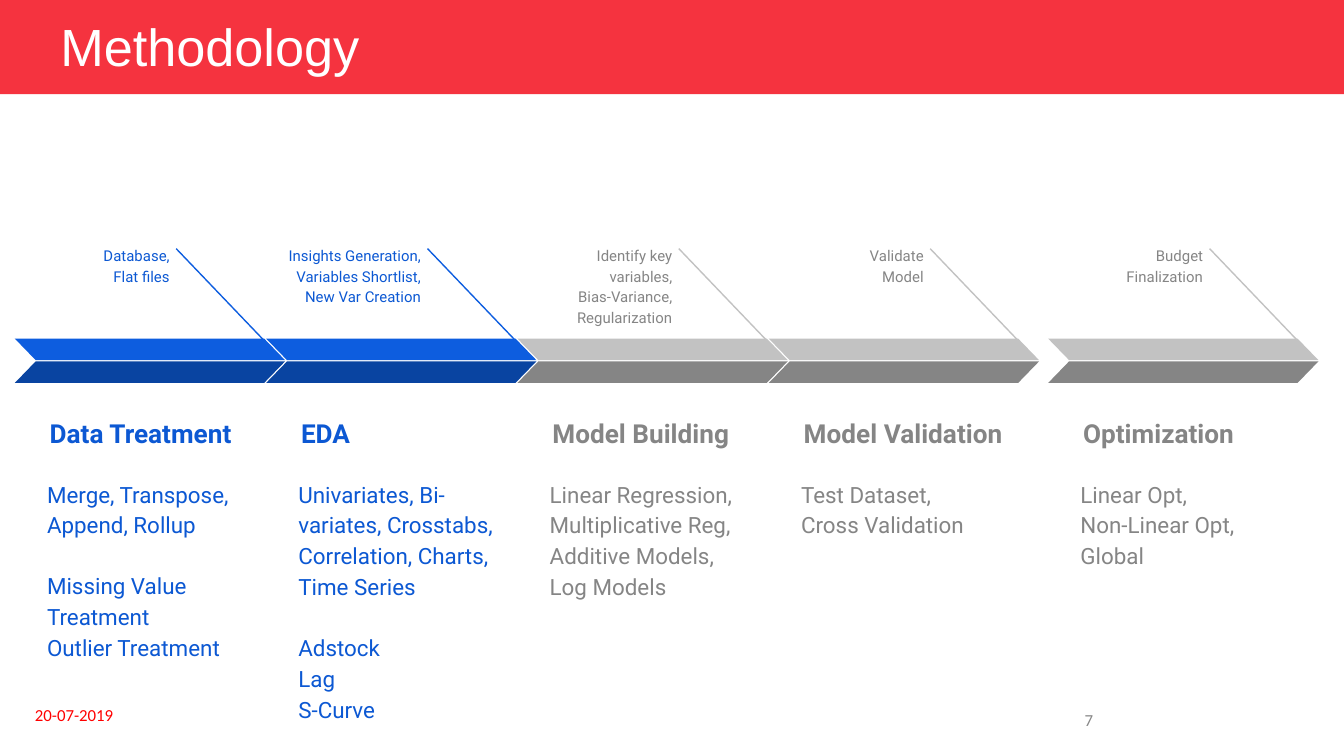
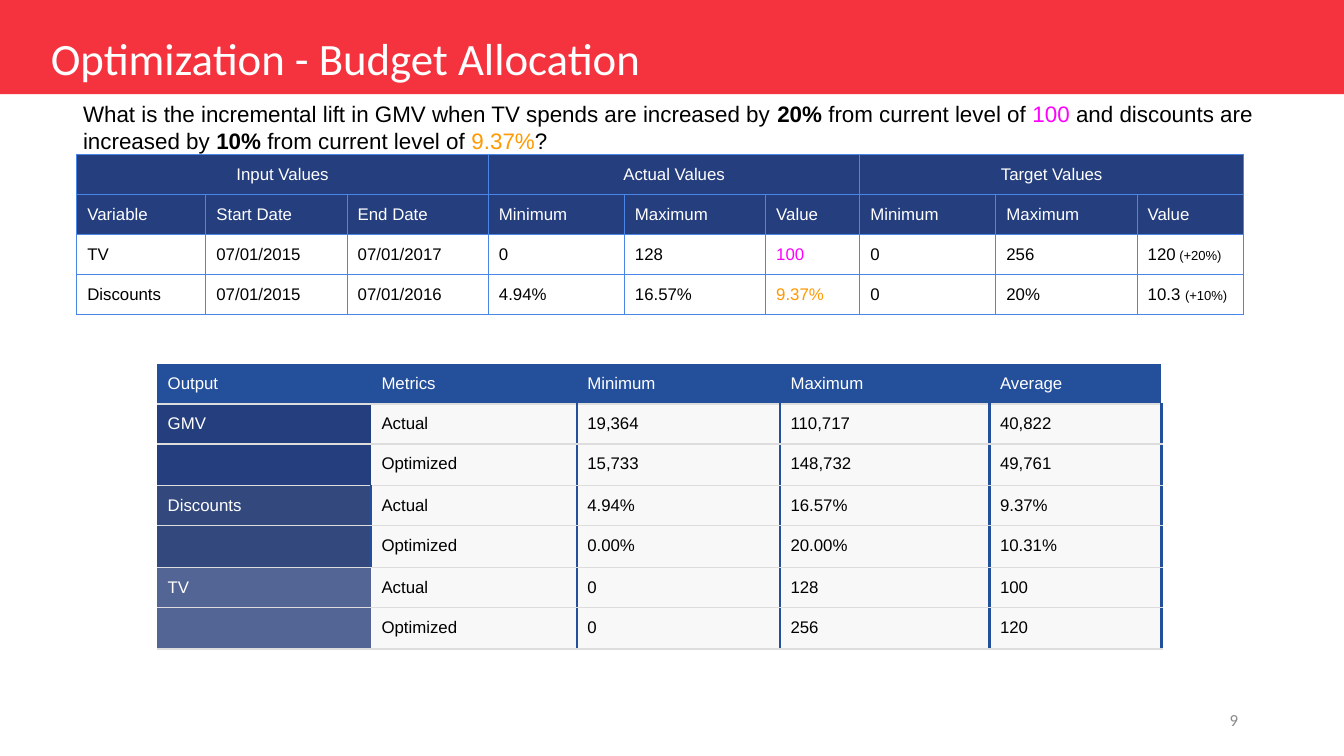
"""Build the methodology and budget allocation slides."""
from copy import deepcopy

from lxml.etree import SubElement
from pptx import Presentation
from pptx.dml.color import RGBColor
from pptx.enum.shapes import MSO_CONNECTOR as CONN, MSO_SHAPE as SHAPE
from pptx.enum.text import MSO_ANCHOR as ANCHOR, MSO_AUTO_SIZE as AUTO, PP_ALIGN as ALIGN
from pptx.oxml.ns import qn
from pptx.util import Cm, Pt

COLORS = {
    "band": "F5333F", "white": "FFFFFF", "black": "000000", "date": "FF0000",
    "number": "888888", "blue_text": "0C58D3", "blue": "0D5DDF", "blue_dark": "0944A1",
    "gray": "C2C2C2", "gray_dark": "858585", "tv": "FF00FF", "discount": "FF9900",
    "navy": "253E7D", "grid": "4A86E8", "header": "234F9B", "rule": "DDDDDD",
    "discount_row": "33487D", "tv_row": "536594", "cell": "F8F8F8",
}
NO_STYLE = "{2D5ABB26-0587-4C30-8999-92F81FD0307C}"


def rgb(name):
    return RGBColor.from_string(COLORS[name])


def apply(obj, values):
    for key, value in values.items():
        if key == "color":
            obj.color.rgb = rgb(value)
        else:
            setattr(obj, key, value)


def font(name, size, color, **more):
    return {"name": name, "size": Pt(size), "color": color, **more}


def margins(x, y):
    return {"margin_left": Cm(x), "margin_right": Cm(x),
            "margin_top": Cm(y), "margin_bottom": Cm(y)}


class Deck:
    def __init__(self, width, height):
        self.prs = Presentation()
        apply(self.prs, {"slide_width": Cm(width), "slide_height": Cm(height)})
        self.slide = self.shapes = None

    def new_slide(self):
        self.slide = self.prs.slides.add_slide(self.prs.slide_layouts[5])
        self.shapes = self.slide.shapes

    def group(self):
        self.shapes = self.slide.shapes.add_group_shape().shapes

    def ungroup(self):
        self.shapes = self.slide.shapes

    def shape(self, kind, at, fill):
        sp = self.shapes.add_shape(kind, *map(Cm, at))
        sp.shadow.inherit = False
        sp.fill.solid()
        sp.fill.fore_color.rgb = rgb(fill)
        sp.line.fill.background()
        return sp

    def master_band(self, height):
        sp = self.shape(SHAPE.RECTANGLE, (0, 0, self.prs.slide_width.cm, height), "band")
        sp.element.nvSpPr.cNvPr.id = 20
        self.prs.slide_master.shapes.element.insert(2, sp.element)

    def chevron_half(self, at, fill, flip=False):
        sp = self.shape(SHAPE.PARALLELOGRAM, at, fill)
        sp.adjustments[0] = 0.97
        if flip:
            sp.element.spPr.find(qn("a:xfrm")).set("flipH", "1")

    def line(self, start, end, color):
        cx = self.shapes.add_connector(CONN.STRAIGHT, *map(Cm, start + end))
        cx.line.color.rgb = rgb(color)
        cx.line.width = Pt(0.75)
        SubElement(cx.element.spPr, qn("a:effectLst"))

    def paragraph(self, p, runs, fmt, **layout):
        apply(p, layout)
        for run in [runs] if isinstance(runs, str) else runs:
            text, change = (run, {}) if isinstance(run, str) else run
            for i, part in enumerate(text.split("\n")):
                if i:
                    p.add_line_break()
                r = p.add_run()
                r.text = part
                apply(r.font, {**fmt, **change})
                if i:
                    r._r.getprevious().insert(0, deepcopy(r._r.rPr))

    def frame(self, tf, runs, fmt, pad=(0.25, 0.25), anchor=ANCHOR.TOP, **layout):
        apply(tf, {"word_wrap": True, "auto_size": AUTO.NONE,
                   "vertical_anchor": anchor, **margins(*pad)})
        self.paragraph(tf.paragraphs[0], runs, fmt, **layout)

    def text(self, at, runs, fmt, **options):
        tf = self.shapes.add_textbox(*map(Cm, at)).text_frame
        self.frame(tf, runs, fmt, **options)
        return tf

    def title(self, at, text, fmt, **layout):
        sp = self.slide.shapes.title
        apply(sp, dict(zip(("left", "top", "width", "height"), map(Cm, at))))
        self.frame(sp.text_frame, text, fmt, pad=(0.25, 0.13), anchor=ANCHOR.MIDDLE,
                   alignment=ALIGN.LEFT, **layout)

    def footer(self, left, top, text, color, align):
        self.text((left, top, 5.72, 0.76), text, font("Calibri", 9, color),
                  pad=(0.25, 0.13), anchor=ANCHOR.MIDDLE, alignment=align)

    def borders(self, cell, sides):
        tcPr = cell._tc.get_or_add_tcPr()
        for side in "LRTB":
            if side in sides:
                color, width = sides[side]
                ln = SubElement(tcPr, qn(f"a:ln{side}"), w=str(Pt(width)))
                fill = SubElement(ln, qn("a:solidFill"))
                SubElement(fill, qn("a:srgbClr"), val=COLORS[color])

    def table(self, left, top, widths, row_height, rows, look):
        size = (sum(widths), row_height * len(rows))
        frame = self.shapes.add_table(len(rows), len(widths), *map(Cm, (left, top) + size))
        tbl = frame.table
        apply(tbl, {"first_row": False, "horz_banding": False})
        tbl._tbl.tblPr.find(qn("a:tableStyleId")).text = NO_STYLE
        for col, width in zip(tbl.columns, widths):
            col.width = Cm(width)
        for i, row in enumerate(rows):
            tbl.rows[i].height = Cm(row_height)
            for j, runs in enumerate(row):
                cell = tbl.cell(i, j)
                style = look(i, j)
                apply(cell, {**margins(0.2, 0.2), "vertical_anchor": style["anchor"]})
                self.borders(cell, style["sides"])
                if style["fill"]:
                    cell.fill.solid()
                    cell.fill.fore_color.rgb = rgb(style["fill"])
                else:
                    cell.fill.background()
                p = cell.text_frame.paragraphs[0]
                if runs:
                    self.paragraph(p, runs, font("Arial", 9, style["color"]),
                                   alignment=style.get("align", ALIGN.LEFT))
                else:
                    SubElement(p._p, qn("a:endParaRPr"), sz="900")
        return tbl

    def stage(self, left, label, label_width, heading, heading_width, body, active):
        text, light, dark = (("blue_text", "blue", "blue_dark") if active
                             else ("gray_dark", "gray", "gray_dark"))
        self.group()
        self.text((left + 3.18 - label_width, 4.37, label_width, 0.66), label,
                  font("Roboto", 8, text), alignment=ALIGN.RIGHT,
                  line_spacing=1.15, space_after=Pt(16))
        self.text((left + 0.41, 7.49, heading_width, 1.24), heading,
                  font("Roboto", 14, text, bold=True), anchor=ANCHOR.BOTTOM, line_spacing=1.15)
        fmt = font("Roboto", 12, text)
        tf = self.text((left + 0.36, 8.76, 4.29, 2.06), body[0], fmt, line_spacing=1.15)
        for extra in body[1:]:
            self.paragraph(tf.add_paragraph(), extra, fmt, line_spacing=1.15,
                           space_before=Pt(16))
        tf.paragraphs[-1].space_after = Pt(16)
        self.line((left + 3.05, 4.7), (left + 5.03, 6.77), light)
        self.chevron_half((left, 6.4, 5.11, 0.41), light, flip=True)
        self.chevron_half((left, 6.83, 5.11, 0.41), dark)
        self.ungroup()


STAGES = [
    ("Database, Flat files", 2.16, "Data Treatment", 4.19,
     ["Merge, Transpose, Append, Rollup", "Missing Value Treatment\nOutlier Treatment"], True),
    ("Insights Generation, Variables Shortlist,\nNew Var Creation", 3.18, "EDA", 4.19,
     ["Univariates, Bi-variates, Crosstabs, Correlation, Charts, Time Series",
      "Adstock\nLag\nS-Curve"], True),
    ("Identify key variables,\nBias-Variance,\nRegularization", 2.49, "Model Building", 4.19,
     ["Linear Regression,\nMultiplicative Reg,\nAdditive Models,\nLog Models"], False),
    ("Validate Model", 1.73, "Model Validation", 4.88,
     ["Test Dataset,\nCross Validation"], False),
    ("Budget Finalization", 2.29, "Optimization", 4.88,
     ["Linear Opt,\nNon-Linear Opt,\nGlobal"], False),
]
BOLD, SMALL = {"bold": True}, {"size": Pt(7)}
TV, DISCOUNT = {"color": "tv"}, {"color": "discount"}
QUESTION = [
    "What is the incremental lift in GMV when TV spends are increased by ", ("20%", BOLD),
    " from current level of ", ("100", TV), " and discounts are increased by ",
    ("10%", BOLD), " from current level of ", ("9.37%", DISCOUNT), "?",
]
INPUTS = [
    ["Input Values", "", "", "Actual Values", "", "", "Target Values", "", ""],
    ["Variable", "Start Date", "End Date"] + ["Minimum", "Maximum", "Value"] * 2,
    ["TV", "07/01/2015", "07/01/2017", "0", "128", [("100", TV)],
     "0", "256", ["120", (" (+20%)", SMALL)]],
    ["Discounts", "07/01/2015", "07/01/2016", "4.94%", "16.57%", [("9.37%", DISCOUNT)],
     "0", "20%", ["10.3 ", ("(+10%)", SMALL)]],
]
OUTPUTS = [
    ["Output", "Metrics", "Minimum", "Maximum", "Average"],
    ["GMV", "Actual", "19,364", "110,717", "40,822"],
    ["", "Optimized", "15,733", "148,732", "49,761"],
    ["Discounts", "Actual", "4.94%", "16.57%", "9.37%"],
    ["", "Optimized", "0.00%", "20.00%", "10.31%"],
    ["TV", "Actual", "0", "128", "100"],
    ["", "Optimized", "0", "256", "120"],
]


def input_look(row, col):
    head = row < 2
    return {"fill": "navy" if head else None, "color": "white" if head else "black",
            "anchor": ANCHOR.BOTTOM if head else ANCHOR.TOP,
            "align": ALIGN.LEFT if row else ALIGN.CENTER,
            "sides": dict.fromkeys("LRTB", ("grid", 0.75))}


def output_look(row, col):
    if row == 0:
        return {"fill": "header", "color": "white", "anchor": ANCHOR.BOTTOM,
                "sides": {"B": ("rule", 1.5)}}
    discount = row in (3, 4)
    sides = {"T": ("rule", 1.5 if row == 1 else 0.75), "B": ("rule", 0.75)}
    if col or discount:
        sides["R"] = ("header", 1.5)
    if col > 1 or (col and discount):
        sides["L"] = ("header", 1.5)
    group_fill = ("navy", "discount_row", "tv_row")[(row - 1) // 2]
    return {"fill": "cell" if col else group_fill, "color": "black" if col else "white",
            "anchor": ANCHOR.TOP, "sides": sides}


def methodology(deck):
    deck.new_slide()
    deck.master_band(1.78)
    deck.title((0.89, 0.33, 10.39, 1.07), "Methodology", font("Arial", 28, "white"))
    for i, stage in enumerate(STAGES):
        gap = 0.53 if i == len(STAGES) - 1 else 0
        deck.stage(0.28 + 4.75 * i + gap, *stage)
    deck.footer(0.41, 13.13, "20-07-2019", "date", ALIGN.LEFT)
    deck.footer(15.19, 13.23, "7", "number", ALIGN.RIGHT)


def budget_allocation(deck):
    deck.new_slide()
    deck.title((0.71, 0.61, 14.27, 1.07), "Optimization - Budget Allocation",
               font("Calibri", 24, "white"), line_spacing=0.9)
    widths = [2.44, 2.67, 2.67, 2.57, 2.67, 1.78, 2.57, 2.67, 2.01]
    tbl = deck.table(1.45, 2.92, widths, 0.71, INPUTS, input_look)
    for col in range(0, 9, 3):
        tbl.cell(0, col).merge(tbl.cell(0, col + 2))
    deck.text((1.32, 1.65, 22.66, 1.73), QUESTION, font("Arial", 12, "black"))
    deck.table(2.97, 6.88, [4.04, 3.89, 3.84, 3.96, 3.25], 0.74, OUTPUTS, output_look)
    deck.footer(17.93, 13.23, "9", "number", ALIGN.RIGHT)


def main():
    deck = Deck(25.4, 14.29)
    methodology(deck)
    budget_allocation(deck)
    deck.prs.save("out.pptx")


if __name__ == "__main__":
    main()
